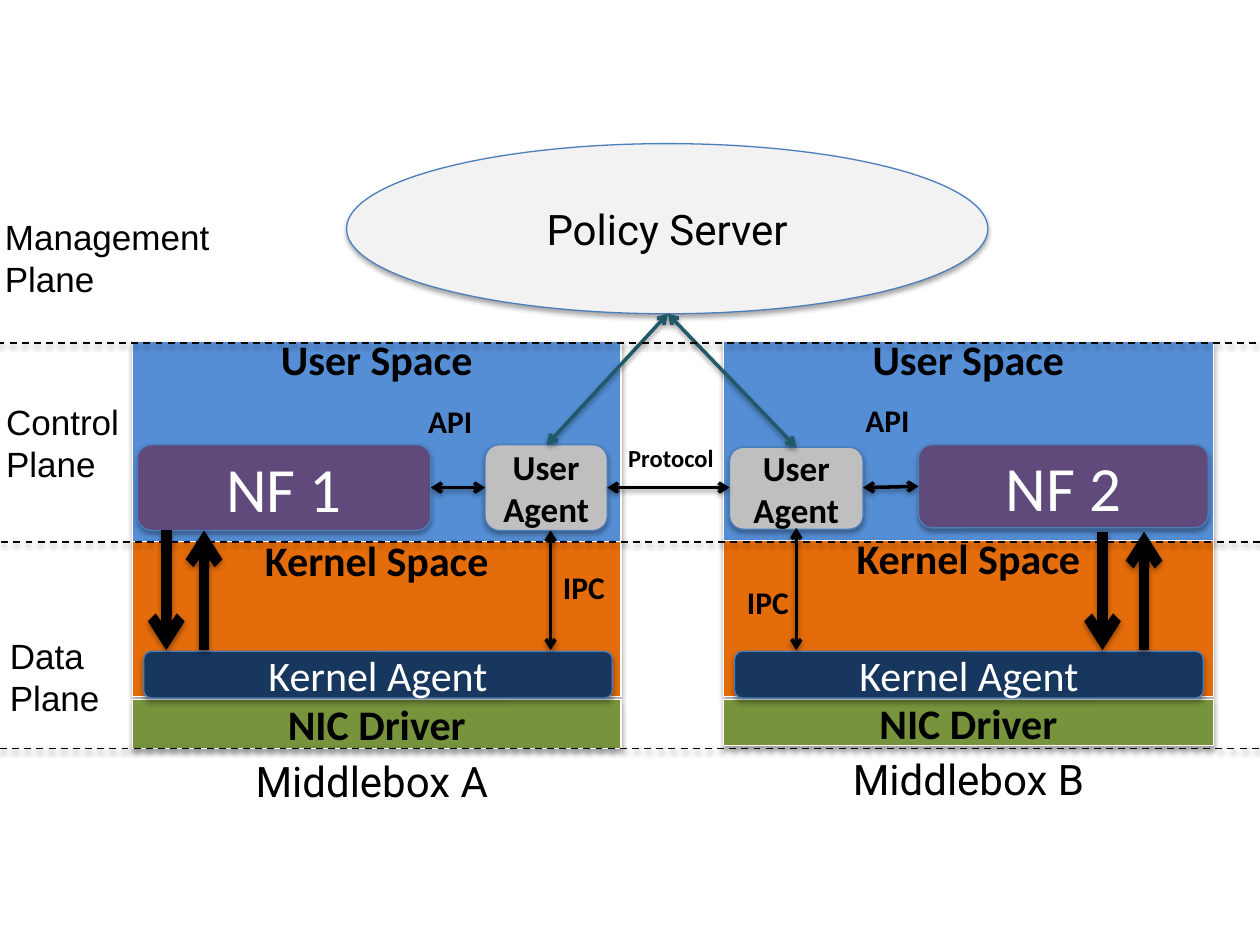
from lxml.etree import SubElement
from pptx import Presentation
from pptx.dml.color import RGBColor
from pptx.enum.dml import MSO_LINE
from pptx.enum.shapes import MSO_CONNECTOR, MSO_SHAPE
from pptx.enum.text import MSO_ANCHOR, MSO_AUTO_SIZE, PP_ALIGN
from pptx.oxml.ns import qn
from pptx.util import Inches, Pt

RECTANGLE, ROUNDED, OVAL = MSO_SHAPE.RECTANGLE, MSO_SHAPE.ROUNDED_RECTANGLE, MSO_SHAPE.OVAL
BLACK, WHITE, BORDER, TEAL = "000000", "FFFFFF", "4B7EBC", "215968"
HEADER_HEIGHT = 0.28

STYLES = {
    "user space": (RECTANGLE, "558ED5", WHITE, "Calibri", 24, BLACK, True),
    "kernel space": (RECTANGLE, "E46C0A", WHITE, "Calibri", 24, BLACK, True),
    "driver": (RECTANGLE, "77933C", WHITE, "Calibri", 24, BLACK, True),
    "function": (ROUNDED, "604A7B", BORDER, "Calibri", 36, WHITE, False),
    "user agent": (ROUNDED, "BFBFBF", BORDER, "Calibri", 20, BLACK, True),
    "kernel agent": (ROUNDED, "17375E", BORDER, "Calibri", 24, WHITE, False),
    "server": (OVAL, "F2F2F2", BORDER, "Roboto", 24, BLACK, False),
}

BOXES = [
    ("server", "Policy Server", 2.75, 1.14, 5.09, 1.35),
    ("function", "NF 1", 1.09, 3.53, 2.33, 0.68),
    ("user agent", "User Agent", 3.85, 3.53, 0.97, 0.68),
    ("function", "NF 2", 7.29, 3.53, 2.3, 0.66),
    ("user agent", "User Agent", 5.79, 3.55, 1.06, 0.65),
]

MIDDLEBOXES = [(1.05, 3.88, 4.3, 5.94), (5.74, 3.89, 4.29, 5.92)]

TWO_WAY_ARROWS = [
    (3.42, 3.87, 3.85, 3.87, BLACK),
    (4.37, 4.21, 4.37, 5.16, BLACK),
    (7.29, 3.86, 6.85, 3.87, BLACK),
    (6.32, 4.19, 6.32, 5.16, BLACK),
    (4.82, 3.87, 5.79, 3.87, BLACK),
    (5.3, 2.49, 4.34, 3.53, TEAL),
    (5.3, 2.49, 6.32, 3.55, TEAL),
]

PACKET_ARROWS = [
    (1.32, 4.21, 5.16),
    (1.62, 5.16, 4.21),
    (8.75, 4.22, 5.16),
    (9.08, 5.16, 4.22),
]

PLANE_BORDERS = [(-0.02, 2.72), (0.01, 4.3), (0, 5.94)]

LABELS = [
    ("IPC", 4.37, 4.46, 0.54, 0.4, "Calibri", 18, True),
    ("IPC", 5.83, 4.58, 0.54, 0.4, "Calibri", 18, True),
    ("API", 3.3, 3.14, 0.56, 0.4, "Calibri", 18, True),
    ("API", 6.77, 3.13, 0.56, 0.4, "Calibri", 18, True),
    ("Protocol", 4.88, 3.47, 0.89, 0.34, "Calibri", 14, True),
    ("Middlebox A", 1.93, 5.95, 2.33, 0.5, "Roboto", 24, False),
    ("Middlebox B", 6.67, 5.93, 2.3, 0.5, "Roboto", 24, False),
    ("Management\nPlane", -0.06, 1.66, 1.95, 0.77, "Arial", 20, False),
    ("Control\nPlane", -0.05, 3.13, 1.19, 0.77, "Arial", 20, False),
    ("Data\nPlane", -0.02, 4.99, 0.92, 0.77, "Arial", 20, False),
]


def color(value):
    return RGBColor.from_string(value)


def add_shadow(shape, opacity, distance):
    effects = SubElement(shape._element.spPr, qn("a:effectLst"))
    shadow = SubElement(effects, qn("a:outerShdw"), blurRad=str(Pt(3.1)),
                        dist=str(Pt(distance)), dir="5400000", rotWithShape="0")
    shade = SubElement(shadow, qn("a:srgbClr"), val=BLACK)
    SubElement(shade, qn("a:alpha"), val=str(opacity * 1000))


def write(shape, text, font, size, text_color, bold, alignment):
    shape.text_frame.text = text
    for paragraph in shape.text_frame.paragraphs:
        paragraph.alignment = alignment
        for run in paragraph.runs:
            run.font.name = font
            run.font.size = Pt(size)
            run.font.bold = bold
            run.font.color.rgb = color(text_color)


def add_box(slide, style, text, left, top, width, height):
    kind, fill, border, *text_style = STYLES[style]
    shape = slide.shapes.add_shape(kind, *map(Inches, (left, top, width, height)))
    shape.fill.solid()
    shape.fill.fore_color.rgb = color(fill)
    shape.line.color.rgb = color(border)
    shape.line.width = Pt(0.75)
    add_shadow(shape, 35, 1.8)
    shape.text_frame.word_wrap = True
    shape.text_frame.vertical_anchor = MSO_ANCHOR.MIDDLE
    write(shape, text, *text_style, PP_ALIGN.CENTER)
    return shape


def add_space(slide, style, text, left, top, width, height):
    frame = add_box(slide, style, text, left, top, width, height).text_frame
    frame.margin_top = 0
    frame.margin_bottom = Inches(height - HEADER_HEIGHT)


def add_line(slide, start_x, start_y, end_x, end_y, line_color, width, ends=(), dash=None):
    line = slide.shapes.add_connector(
        MSO_CONNECTOR.STRAIGHT, *map(Inches, (start_x, start_y, end_x, end_y)))
    line.line.color.rgb = color(line_color)
    line.line.width = Pt(width)
    if dash:
        line.line.dash_style = dash
    for end in ends:
        SubElement(line.line._get_or_add_ln(), qn(f"a:{end}"), type="arrow")
    add_shadow(line, 38, 1.6)


def add_label(slide, text, left, top, width, height, font, size, bold):
    label = slide.shapes.add_textbox(*map(Inches, (left, top, width, height)))
    label.text_frame.word_wrap = False
    label.text_frame.auto_size = MSO_AUTO_SIZE.SHAPE_TO_FIT_TEXT
    alignment = PP_ALIGN.CENTER if text == "Protocol" else PP_ALIGN.LEFT
    write(label, text, font, size, BLACK, bold, alignment)


def main():
    presentation = Presentation()
    presentation.slide_width, presentation.slide_height = Inches(10), Inches(7.5)
    slide = presentation.slides.add_slide(presentation.slide_layouts[6])

    for left, width, kernel_top, bottom in MIDDLEBOXES:
        add_space(slide, "user space", "User Space", left, 2.71, width, kernel_top - 2.71)
        add_space(slide, "kernel space", "Kernel Space", left, kernel_top, width, 5.53 - kernel_top)
        add_box(slide, "driver", "NIC Driver", left, 5.55, width, bottom - 5.55)
        add_box(slide, "kernel agent", "Kernel Agent", left + 0.09, 5.17, 3.72, 0.37)
    for box in BOXES:
        add_box(slide, *box)
    for *points, line_color in TWO_WAY_ARROWS:
        add_line(slide, *points, line_color, 2, ("headEnd", "tailEnd"))
    for x, start_y, end_y in PACKET_ARROWS:
        add_line(slide, x, start_y, x, end_y, BLACK, 6, ("tailEnd",))
    for left, y in PLANE_BORDERS:
        add_line(slide, left, y, left + 10.02, y, BLACK, 1, dash=MSO_LINE.DASH)
    for label in LABELS:
        add_label(slide, *label)

    presentation.save("out.pptx")


if __name__ == "__main__":
    main()
